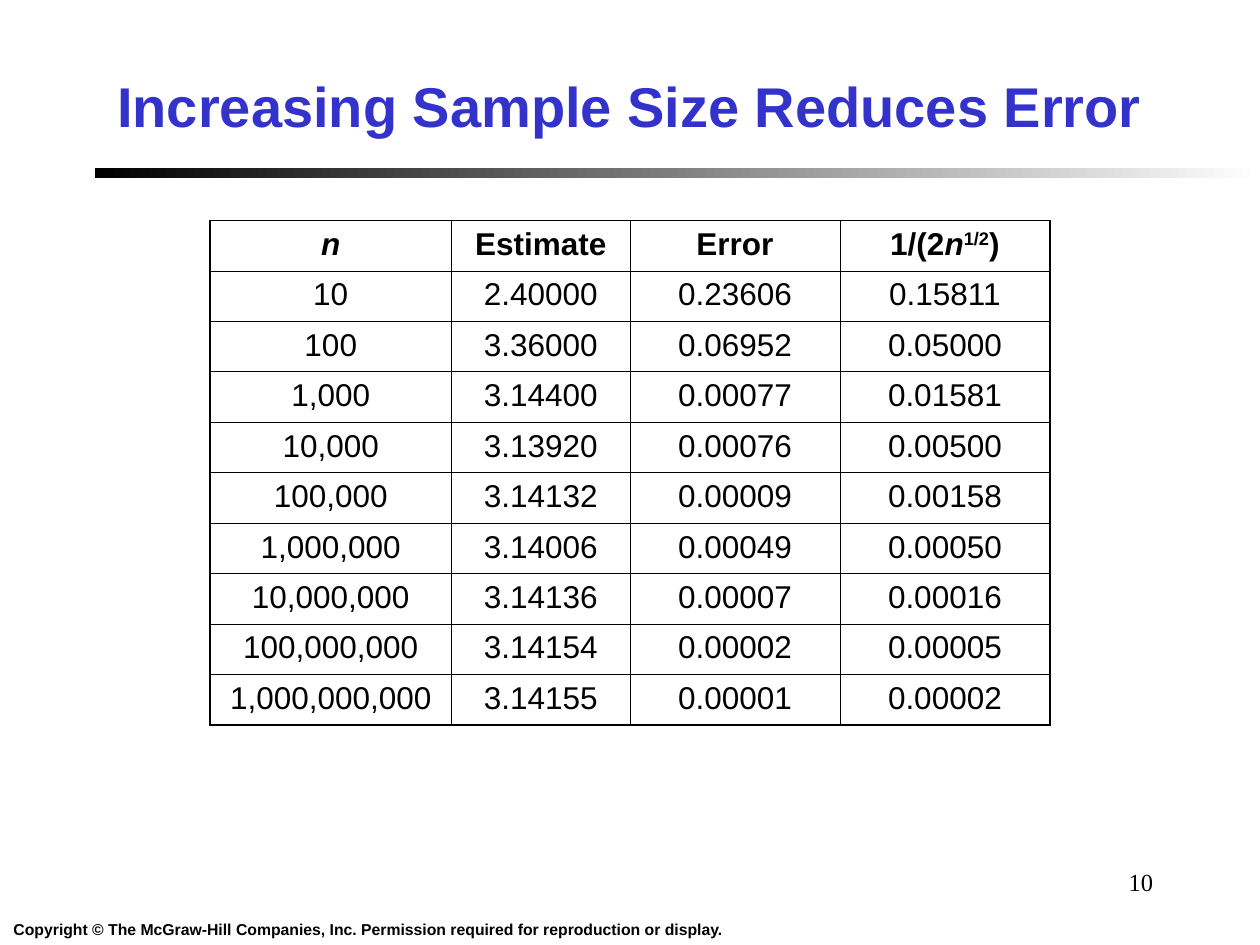
from lxml.etree import SubElement
from pptx import Presentation
from pptx.dml.color import RGBColor
from pptx.enum.shapes import MSO_SHAPE
from pptx.enum.text import MSO_ANCHOR, PP_ALIGN
from pptx.oxml.ns import qn
from pptx.util import Pt

COLORS = {"title": "3333CC", "text": "000000", "border": "000000",
          "rule_start": "000000", "rule_end": "FFFFFF"}
OUTER_BORDER, INNER_BORDER = 1.08, 0.45

# Each header is a list of (text, style) runs
HEADERS = [
    [("n", "italic")],
    [("Estimate", "")],
    [("Error", "")],
    [("1/(2", ""), ("n", "italic"), ("1/2", "superscript"), (")", "")],
]
RESULTS = [
    ("10", "2.40000", "0.23606", "0.15811"),
    ("100", "3.36000", "0.06952", "0.05000"),
    ("1,000", "3.14400", "0.00077", "0.01581"),
    ("10,000", "3.13920", "0.00076", "0.00500"),
    ("100,000", "3.14132", "0.00009", "0.00158"),
    ("1,000,000", "3.14006", "0.00049", "0.00050"),
    ("10,000,000", "3.14136", "0.00007", "0.00016"),
    ("100,000,000", "3.14154", "0.00002", "0.00005"),
    ("1,000,000,000", "3.14155", "0.00001", "0.00002"),
]


def rgb(name):
    return RGBColor.from_string(COLORS[name])


class SlideBuilder:
    font_name = "Arial"

    def __init__(self, slide):
        self.slide = slide

    def style(self, paragraph, size, color="text", bold=False,
              align=PP_ALIGN.CENTER, font_name=None):
        paragraph.alignment = align
        font = paragraph.font
        font.name = font_name or self.font_name
        font.size = Pt(size)
        font.bold = bold
        font.color.rgb = rgb(color)

    def text(self, box, text, size, anchor=MSO_ANCHOR.TOP, wrap=True, **style):
        frame = self.slide.shapes.add_textbox(*map(Pt, box)).text_frame
        frame.word_wrap = wrap
        frame.vertical_anchor = anchor
        paragraph = frame.paragraphs[0]
        paragraph.text = text
        self.style(paragraph, size, **style)

    def gradient_bar(self, box, start, end):
        shape = self.slide.shapes.add_shape(MSO_SHAPE.RECTANGLE, *map(Pt, box))
        shape.shadow.inherit = False
        shape.line.fill.background()
        shape.fill.gradient()
        shape.fill.gradient_angle = 0
        for stop, color in zip(shape.fill.gradient_stops, (start, end)):
            stop.color.rgb = rgb(color)

    def cell_borders(self, cell, widths):
        properties = cell._tc.get_or_add_tcPr()
        for side, width in zip("LRTB", widths):
            line = SubElement(properties, qn(f"a:ln{side}"), w=str(int(Pt(width))))
            fill = SubElement(line, qn("a:solidFill"))
            SubElement(fill, qn("a:srgbClr"), val=COLORS["border"])

    def table(self, left, top, column_widths, row_height, rows, size):
        last_row, last_column = len(rows) - 1, len(column_widths) - 1
        table = self.slide.shapes.add_table(
            len(rows), len(column_widths), Pt(left), Pt(top),
            Pt(sum(column_widths)), Pt(row_height * len(rows))).table
        table.horz_banding = False
        for column, width in zip(table.columns, column_widths):
            column.width = Pt(width)
        for r, row in enumerate(rows):
            table.rows[r].height = Pt(row_height)
            for c, runs in enumerate(row):
                cell = table.cell(r, c)
                edges = (c == 0, c == last_column, r == 0, r == last_row)
                self.cell_borders(
                    cell, [OUTER_BORDER if edge else INNER_BORDER for edge in edges])
                cell.fill.background()
                paragraph = cell.text_frame.paragraphs[0]
                self.style(paragraph, size, bold=r == 0)
                for text, run_style in runs:
                    run = paragraph.add_run()
                    run.text = text
                    if run_style == "italic":
                        run.font.italic = True
                    elif run_style == "superscript":
                        run._r.get_or_add_rPr().set("baseline", "30000")


def main():
    presentation = Presentation()
    presentation.slide_width, presentation.slide_height = Pt(720), Pt(540)
    builder = SlideBuilder(presentation.slides.add_slide(presentation.slide_layouts[6]))

    # Rule under the title
    builder.gradient_bar((54, 96, 666, 6), "rule_start", "rule_end")

    # Footer: copyright line and slide number
    builder.text((0, 522, 420.5, 18),
                 "Copyright © The McGraw-Hill Companies, Inc. "
                 "Permission required for reproduction or display.",
                 9, bold=True, wrap=False)
    builder.text((516, 492, 150, 36), "10", 14,
                 align=PP_ALIGN.RIGHT, font_name="Times New Roman")

    # Title
    builder.text((18, 24, 684, 72), "Increasing Sample Size Reduces Error", 32,
                 anchor=MSO_ANCHOR.MIDDLE, color="title", bold=True)

    # Table of estimates
    body = [[[(value, "")] for value in result] for result in RESULTS]
    builder.table(120, 126, (138, 102, 120, 120), 28.8, [HEADERS] + body, 18)

    presentation.save("out.pptx")


if __name__ == "__main__":
    main()
